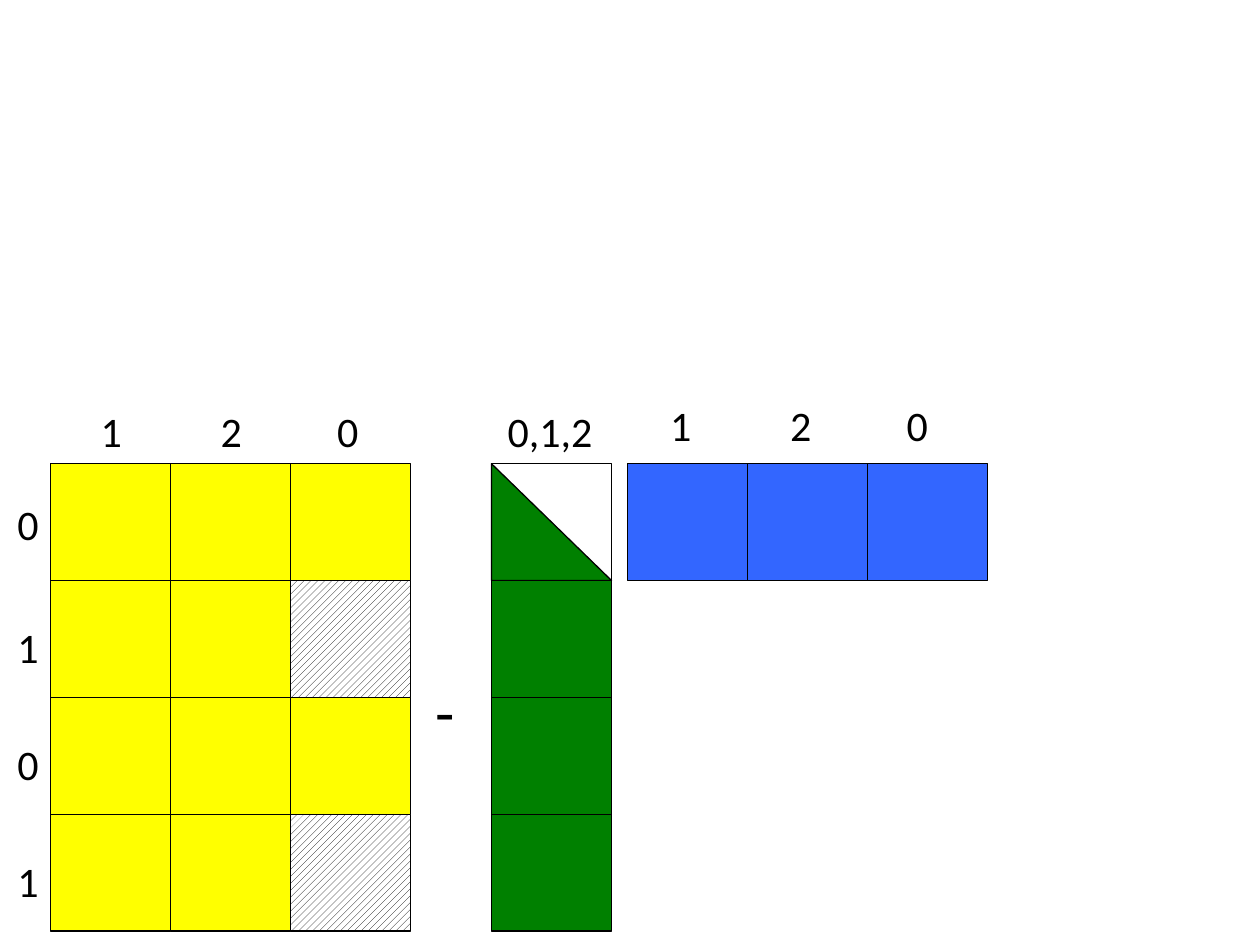
from collections import namedtuple
from pptx import Presentation
from pptx.dml.color import RGBColor
from pptx.enum.dml import MSO_PATTERN
from pptx.enum.shapes import MSO_SHAPE
from pptx.enum.text import MSO_AUTO_SIZE, PP_ALIGN
from pptx.util import Inches, Pt

Theme = namedtuple("Theme", "font ink paper yellow green blue label sign line")
THEME = Theme("Calibri", "000000", "FFFFFF", "FFFF00", "008000", "3366FF", 24, 36, 0.75)

# Content: Y yellow, G green, B blue, H hatched, T triangle, O outline
MATRIX = ["YYY", "YYH", "YYY", "YYH"]
VECTOR = ["T", "G", "G", "G"]
ROW = ["BBB"]
FILLS = {"Y": THEME.yellow, "G": THEME.green, "B": THEME.blue, "T": THEME.green}
COLUMN_LABELS = ["1", "2", "0"]
ROW_LABELS = ["0", "1", "0", "1"]
VECTOR_LABEL = "0,1,2"
SIGN = "-"

# Grid: cell size, shared top edge and the left edge of each block
CELL_W, CELL_H = 2.86 / 3, 3.71 / 4
TOP = 3.68
MATRIX_X, VECTOR_X, ROW_X = 0.4, 3.9, 4.98
LABEL_W, LABEL_H = 0.37, 0.5
COLUMN_STEPS = [0, 1, 1.97]
ROW_STEPS = [0, 1.05, 2.05, 3.05]

deck = Presentation()
deck.slide_width, deck.slide_height = Inches(10), Inches(7.5)
slide = deck.slides.add_slide(deck.slide_layouts[6])


def rgb(code):
    return RGBColor.from_string(code)


def add_cell(shapes, kind, x, y):
    preset = MSO_SHAPE.RIGHT_TRIANGLE if kind == "T" else MSO_SHAPE.RECTANGLE
    cell = shapes.add_shape(preset, Inches(x), Inches(y), Inches(CELL_W), Inches(CELL_H))
    cell.shadow.inherit = False
    if kind == "H":
        cell.fill.patterned()
        cell.fill.pattern = MSO_PATTERN.WIDE_UPWARD_DIAGONAL
        cell.fill.fore_color.rgb = rgb(THEME.ink)
        cell.fill.back_color.rgb = rgb(THEME.paper)
    elif kind == "O":
        cell.fill.background()
    else:
        cell.fill.solid()
        cell.fill.fore_color.rgb = rgb(FILLS[kind])
    cell.line.color.rgb = rgb(THEME.ink)
    cell.line.width = Pt(THEME.line)


def add_block(shapes, rows, left):
    for r, kinds in enumerate(rows):
        for c, kind in enumerate(kinds):
            add_cell(shapes, kind, left + c * CELL_W, TOP + r * CELL_H)


def add_text(text, x, y, width=LABEL_W, height=LABEL_H, size=THEME.label):
    box = slide.shapes.add_textbox(Inches(x), Inches(y), Inches(width), Inches(height))
    frame = box.text_frame
    frame.word_wrap = False
    frame.auto_size = MSO_AUTO_SIZE.SHAPE_TO_FIT_TEXT
    paragraph = frame.paragraphs[0]
    paragraph.alignment = PP_ALIGN.LEFT
    run = paragraph.add_run()
    run.text = text
    run.font.name, run.font.size = THEME.font, Pt(size)
    run.font.color.rgb = rgb(THEME.ink)


def add_column_labels(left, y):
    for label, step in zip(COLUMN_LABELS, COLUMN_STEPS):
        add_text(label, left + step * CELL_W, y)


# Blue row
add_block(slide.shapes.add_group_shape().shapes, ROW, ROW_X)
add_column_labels(ROW_X + 0.24, 3.12)

# Green vector, its first cell half filled
add_block(slide.shapes, VECTOR, VECTOR_X)
add_text(VECTOR_LABEL, VECTOR_X + 0.03, 3.17, width=0.91)
add_cell(slide.shapes, "O", VECTOR_X, TOP)

# Yellow matrix
add_block(slide.shapes, MATRIX, MATRIX_X)
for label, step in zip(ROW_LABELS, ROW_STEPS):
    add_text(label, 0.04, TOP + 0.23 + step * CELL_H)
add_column_labels(MATRIX_X + 0.3, 3.17)

# Minus sign
add_text(SIGN, 3.36, 5.29, height=0.71, size=THEME.sign)

deck.save("out.pptx")
